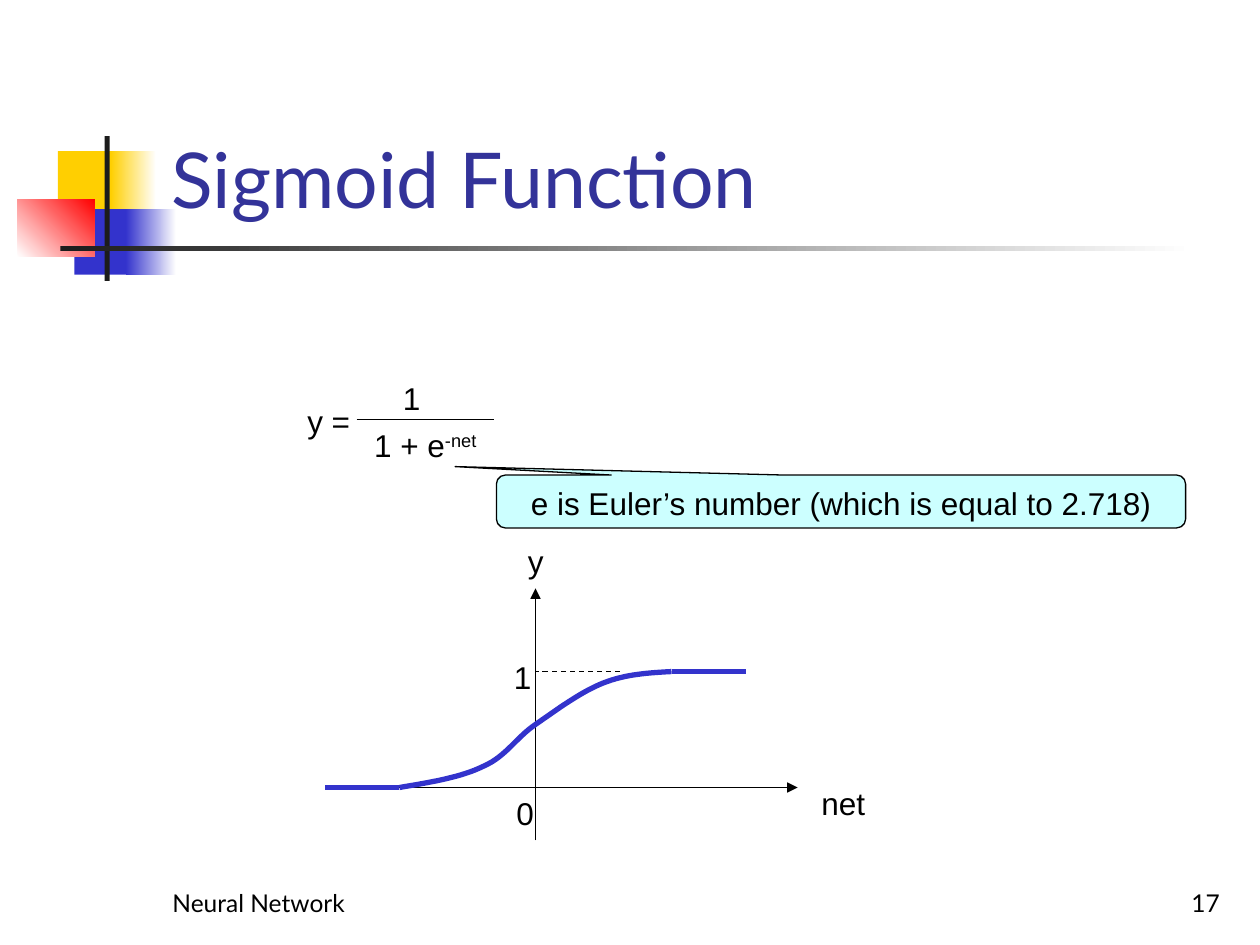
from dataclasses import dataclass
from typing import Optional

import pptx
import pptx.dml.color
import pptx.enum.dml
import pptx.enum.shapes
import pptx.enum.text
import pptx.oxml
import pptx.util
from pptx.util import Inches

Align = pptx.enum.text.PP_ALIGN
Anchor = pptx.enum.text.MSO_ANCHOR
Shape = pptx.enum.shapes.MSO_SHAPE


@dataclass(frozen=True)
class Theme:
    yellow: str = "FFCF01"
    blue: str = "3333CC"
    red: str = "FF0000"
    dark: str = "1C1C1C"
    white: str = "FFFFFF"
    black: str = "000000"
    title: str = "333399"
    callout: str = "CCFFFF"
    heading_font: str = "Lato"
    body_font: str = "Arial"
    title_size: float = 44
    body_size: float = 18
    footer_size: float = 14
    thin: float = 0.75
    thick: float = 3


THEME = Theme()


@dataclass(frozen=True)
class Block:
    left: float
    top: float
    width: float
    height: float
    start: str
    end: Optional[str] = None
    angle: float = 0


@dataclass(frozen=True)
class Label:
    text: str
    left: float
    top: float
    width: float
    superscript: str = ""


@dataclass(frozen=True)
class Stroke:
    start: tuple[float, float]
    end: tuple[float, float]
    color: str = THEME.black
    width: float = THEME.thin
    arrow: bool = False
    dashed: bool = False


ORIGIN_X, ZERO_Y, ONE_Y = 4.25, 6.25, 5.33
CURVE_START, CURVE_END = (3.17, ZERO_Y), (5.33, ONE_Y)

BLOCKS = [
    Block(0.46, 1.2, 0.48, 0.52, THEME.yellow),
    Block(0.88, 1.2, 0.36, 0.52, THEME.yellow, THEME.white),
    Block(0.59, 1.66, 0.46, 0.52, THEME.blue),
    Block(1, 1.66, 0.4, 0.52, THEME.blue, THEME.white),
    Block(0.14, 1.58, 0.61, 0.46, THEME.white, THEME.red, 45),
    Block(0.83, 1.08, 0.04, 1.15, THEME.dark),
    Block(0.48, 1.95, 9, 0.04, THEME.dark, THEME.white),
]
LABELS = [
    Label("y =", 2.34, 3.14, 0.61),
    Label("1", 3.1, 2.96, 0.34),
    Label("1 + e", 2.87, 3.33, 1.01, "-net"),
    Label("0", 4, 6.25, 0.34),
    Label("1", 3.98, 5.17, 0.34),
    Label("net", 6.42, 6.17, 0.55),
    Label("y", 4.09, 4.25, 0.32),
]
STROKES = [
    Stroke((2.83, 3.33), (3.92, 3.33)),
    Stroke((2.92, ZERO_Y), (6.33, ZERO_Y), arrow=True),
    Stroke((ORIGIN_X, 6.67), (ORIGIN_X, 4.67), arrow=True),
    Stroke((4.92, ONE_Y), (ORIGIN_X, ONE_Y), dashed=True),
    Stroke((2.58, ZERO_Y), CURVE_START, THEME.blue, THEME.thick),
    Stroke(CURVE_END, (5.92, ONE_Y), THEME.blue, THEME.thick),
]
# Each segment holds two control points and an end point.
CURVE_SEGMENTS = [
    ((3.41, 6.21), (3.66, 6.17), (3.84, 6.08)),
    ((4.02, 6), (4.09, 5.86), (ORIGIN_X, 5.75)),
    ((4.41, 5.64), (4.61, 5.49), (4.79, 5.42)),
    ((4.97, 5.35), (5.15, 5.34), CURVE_END),
]


def rgb(color: str) -> pptx.dml.color.RGBColor:
    return pptx.dml.color.RGBColor.from_string(color)


def format_text(frame, font: str, size: float, color: str, align=Align.LEFT) -> None:
    for para in frame.paragraphs:
        para.alignment = align
        for span in para.runs:
            span.font.name = font
            span.font.size = pptx.util.Pt(size)
            span.font.color.rgb = rgb(color)


def format_line(line, color: str, width: float) -> None:
    line.color.rgb = rgb(color)
    line.width = pptx.util.Pt(width)


def add_block(page, block: Block) -> None:
    box = page.shapes.add_shape(Shape.RECTANGLE, Inches(block.left), Inches(block.top),
                                Inches(block.width), Inches(block.height))
    box.shadow.inherit = False
    box.line.fill.background()
    if block.end is None:
        box.fill.solid()
        box.fill.fore_color.rgb = rgb(block.start)
        return
    box.fill.gradient()
    box.fill.gradient_angle = block.angle
    for stop, color, position in zip(box.fill.gradient_stops, (block.start, block.end), (0, 1)):
        stop.color.rgb = rgb(color)
        stop.position = position


def add_label(page, label: Label) -> None:
    box = page.shapes.add_textbox(Inches(label.left), Inches(label.top),
                                  Inches(label.width), Inches(0.4))
    frame = box.text_frame
    frame.text = label.text
    frame.word_wrap = False
    frame.auto_size = pptx.enum.text.MSO_AUTO_SIZE.SHAPE_TO_FIT_TEXT
    if label.superscript:
        span = frame.paragraphs[0].add_run()
        span.text = label.superscript
        span._r.get_or_add_rPr().set("baseline", "30000")
    format_text(frame, THEME.body_font, THEME.body_size, THEME.black)


def add_stroke(page, stroke: Stroke) -> None:
    connector = page.shapes.add_connector(
        pptx.enum.shapes.MSO_CONNECTOR.STRAIGHT,
        *(Inches(value) for value in stroke.start + stroke.end))
    format_line(connector.line, stroke.color, stroke.width)
    if stroke.dashed:
        connector.line.dash_style = pptx.enum.dml.MSO_LINE.DASH
    properties = connector._element.spPr
    namespace = pptx.oxml.ns.nsdecls("a")
    if stroke.arrow:
        properties.find(pptx.oxml.ns.qn("a:ln")).append(
            pptx.oxml.parse_xml(f'<a:tailEnd {namespace} type="triangle"/>'))
    properties.append(pptx.oxml.parse_xml(f"<a:effectLst {namespace}/>"))


def add_curve(page, steps: int = 16) -> None:
    """Trace the cubic segments of the sigmoid with short straight steps."""
    points, start = [], CURVE_START
    for first, second, end in CURVE_SEGMENTS:
        for step in range(1, steps + 1):
            t = step / steps
            weights = ((1 - t) ** 3, 3 * t * (1 - t) ** 2, 3 * t * t * (1 - t), t ** 3)
            points.append(tuple(
                Inches(sum(w * p[axis] for w, p in zip(weights, (start, first, second, end))))
                for axis in (0, 1)))
        start = end
    builder = page.shapes.build_freeform(*map(Inches, CURVE_START))
    builder.add_line_segments(points, close=False)
    curve = builder.convert_to_shape()
    curve.shadow.inherit = False
    curve.fill.background()
    format_line(curve.line, THEME.blue, THEME.thick)


def add_callout(page) -> None:
    box = page.shapes.add_shape(Shape.ROUNDED_RECTANGULAR_CALLOUT, Inches(3.94), Inches(3.77),
                                Inches(5.47), Inches(0.42))
    for index, value in enumerate((-0.56, -0.66, 0.17)):
        box.adjustments[index] = value
    box.shadow.inherit = False
    box.fill.solid()
    box.fill.fore_color.rgb = rgb(THEME.callout)
    format_line(box.line, THEME.black, THEME.thin)
    box.text_frame.text = "e is Euler’s number (which is equal to 2.718)"
    box.text_frame.word_wrap = True
    box.text_frame.vertical_anchor = Anchor.TOP
    format_text(box.text_frame, THEME.body_font, THEME.body_size, THEME.black, Align.CENTER)


def add_footer(page, text: str, left: float, align) -> None:
    box = page.shapes.add_textbox(Inches(left), Inches(6.83), Inches(2.08), Inches(0.5))
    box.text_frame.text = text
    box.text_frame.word_wrap = True
    box.text_frame.vertical_anchor = Anchor.BOTTOM
    format_text(box.text_frame, THEME.heading_font, THEME.footer_size, THEME.black, align)


def set_title(page, text: str) -> None:
    title = page.shapes.title
    title.left, title.top, title.width, title.height = map(Inches, (1.26, 0.23, 8.52, 1.6))
    title.text_frame.text = text
    title.text_frame.vertical_anchor = Anchor.BOTTOM
    format_text(title.text_frame, THEME.heading_font, THEME.title_size, THEME.title)


def main() -> None:
    deck = pptx.Presentation()
    deck.slide_width, deck.slide_height = Inches(10), Inches(7.5)
    page = deck.slides.add_slide(deck.slide_layouts.get_by_name("Title Only"))
    for block in BLOCKS:
        add_block(page, block)
    set_title(page, "Sigmoid Function")
    add_footer(page, "Neural Network", 1.27, Align.LEFT)
    add_footer(page, "17", 7.7, Align.RIGHT)
    for label in LABELS:
        add_label(page, label)
    for stroke in STROKES:
        add_stroke(page, stroke)
    add_curve(page)
    add_callout(page)
    deck.save("out.pptx")


if __name__ == "__main__":
    main()
